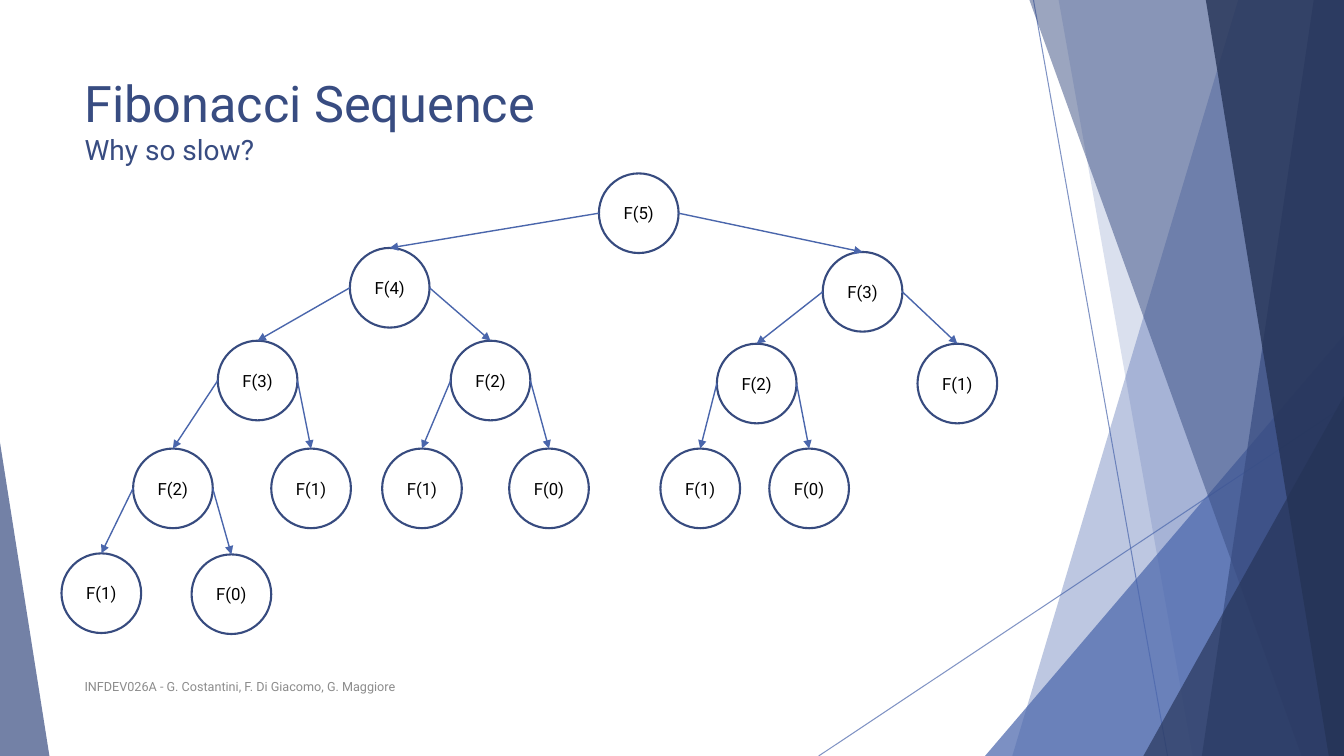
from pptx import Presentation
from pptx.dml.color import RGBColor
from pptx.enum.shapes import MSO_CONNECTOR, MSO_SHAPE
from pptx.enum.text import MSO_ANCHOR, PP_ALIGN
from pptx.oxml.ns import qn
from pptx.util import Inches, Pt
from lxml.etree import SubElement

# Content
TITLE = "Fibonacci Sequence"
SUBTITLE = "Why so slow?"
FOOTER = "INFDEV026A - G. Costantini, F. Di Giacomo, G. Maggiore"

# Call tree: argument, left, top, child calls (left one first)
CALLS = (5, 5.94, 1.72, [
    (4, 3.47, 2.46, [
        (3, 2.16, 3.38, [
            (2, 1.32, 4.45, [(1, 0.61, 5.49, []), (0, 1.9, 5.5, [])]),
            (1, 2.69, 4.45, []),
        ]),
        (2, 4.47, 3.38, [(1, 3.79, 4.45, []), (0, 5.05, 4.45, [])]),
    ]),
    (3, 8.16, 2.5, [
        (2, 7.11, 3.41, [(1, 6.55, 4.45, []), (0, 7.63, 4.45, [])]),
        (1, 9.1, 3.41, []),
    ]),
])

# Theme
THEME = {
    "font": "Roboto", "ink": "000000", "paper": "FFFFFF", "muted": "8C8C8C",
    "accent": "4A66AC", "deep": "384C81", "night": "253356", "outline": "374B7F",
    "title": 36, "subtitle": 20, "node": 12, "footer": 9,
}
WIDTH, HEIGHT = 13.33, 7.5
DIAMETER = 0.79

# Decoration, back to front
RAYS = [((10.25, 0), (11.58, HEIGHT)), ((WIDTH, 4.03), (8.12, HEIGHT))]
# Slabs reach the right edge: top x, bottom x, colour, opacity
# Wedges stand on the bottom edge: left, top, width, apex, colour, opacity
PANELS = [
    (12.28, 10.04, "accent", 36),
    (10.5, 11.83, "accent", 20),
    (9.77, 3.33, 3.56, 1, "accent", 72),
    (10.21, 12.91, "deep", 50),
    (13.03, 11.92, "deep", 70),
    (11.96, 13.18, "night", 80),
    (11.34, 3.93, 1.99, 1, "night", 66),
    (0, 4.39, 0.49, 0, "deep", 70),
]

deck = Presentation()
deck.slide_width, deck.slide_height = Inches(WIDTH), Inches(HEIGHT)
page = deck.slides.add_slide(deck.slide_layouts[6])


def color(name):
    return RGBColor.from_string(THEME[name])


def set_opacity(shape, percent):
    for tint in shape._element.spPr.iter(qn("a:srgbClr")):
        SubElement(tint, qn("a:alpha")).set("val", str(percent * 1000))


def write(shape, lines, tint="ink", align=PP_ALIGN.LEFT,
          anchor=MSO_ANCHOR.MIDDLE, inset=(0.1, 0.05)):
    """Write (text, size name) lines as one paragraph with line breaks."""
    frame = shape.text_frame
    frame.word_wrap = True
    frame.vertical_anchor = anchor
    frame.margin_left = frame.margin_right = Inches(inset[0])
    frame.margin_top = frame.margin_bottom = Inches(inset[1])
    para = frame.paragraphs[0]
    para.alignment = align
    for index, (text, size) in enumerate(lines):
        if index:
            para.add_line_break()
        span = para.add_run()
        span.text = text
        span.font.name = THEME["font"]
        span.font.size = Pt(THEME[size])
        span.font.color.rgb = color(tint)


def add_line(start, end, weight, arrow=False):
    line = page.shapes.add_connector(
        MSO_CONNECTOR.STRAIGHT, *(Inches(value) for value in (*start, *end)))
    line.line.color.rgb = color("accent")
    line.line.width = Pt(weight)
    properties = line._element.spPr
    if arrow:
        SubElement(properties.find(qn("a:ln")), qn("a:tailEnd")).set("type", "triangle")
    SubElement(properties, qn("a:effectLst"))
    return line


def add_slab(top_x, bottom_x):
    builder = page.shapes.build_freeform(Inches(top_x), 0)
    corners = [(WIDTH, 0), (WIDTH, HEIGHT), (bottom_x, HEIGHT)]
    builder.add_line_segments([(Inches(x), Inches(y)) for x, y in corners], close=True)
    return builder.convert_to_shape()


def add_wedge(left, top, width, apex):
    wedge = page.shapes.add_shape(
        MSO_SHAPE.ISOSCELES_TRIANGLE, Inches(left), Inches(top),
        Inches(width), Inches(HEIGHT - top))
    wedge.adjustments[0] = apex
    return wedge


def add_calls(call):
    """Draw the circle of a call, then those of the calls it makes."""
    argument, left, top, children = call
    circle = page.shapes.add_shape(
        MSO_SHAPE.OVAL, Inches(left), Inches(top), Inches(DIAMETER), Inches(DIAMETER))
    circle.shadow.inherit = False
    circle.fill.solid()
    circle.fill.fore_color.rgb = color("paper")
    circle.line.color.rgb = color("outline")
    circle.line.width = Pt(1.5)
    write(circle, [(f"F({argument})", "node")], align=PP_ALIGN.CENTER, inset=(0, 0))
    for child in children:
        add_calls(child)


def add_arrows(call):
    """Join each side of a circle to the top of the call on that side."""
    _, left, top, children = call
    for side, child in enumerate(children):
        start = (left + side * DIAMETER, top + DIAMETER / 2)
        add_line(start, (child[1] + DIAMETER / 2, child[2]), 1, arrow=True)
        add_arrows(child)


# Background rays and panels
for start, end in RAYS:
    set_opacity(add_line(start, end, 0.75), 70)
for *geometry, tint, opacity in PANELS:
    panel = add_slab(*geometry) if len(geometry) == 2 else add_wedge(*geometry)
    panel.shadow.inherit = False
    panel.fill.solid()
    panel.fill.fore_color.rgb = color(tint)
    panel.line.fill.background()
    set_opacity(panel, opacity)

# Title and footer
heading = page.shapes.add_textbox(Inches(0.74), Inches(0.67), Inches(9.4), Inches(1.44))
write(heading, [(TITLE, "title"), (SUBTITLE, "subtitle")], tint="deep", anchor=MSO_ANCHOR.TOP)
footer = page.shapes.add_textbox(Inches(0.74), Inches(6.61), Inches(6.89), Inches(0.4))
write(footer, [(FOOTER, "footer")], tint="muted")

# Call tree
add_calls(CALLS)
add_arrows(CALLS)

deck.save("out.pptx")
